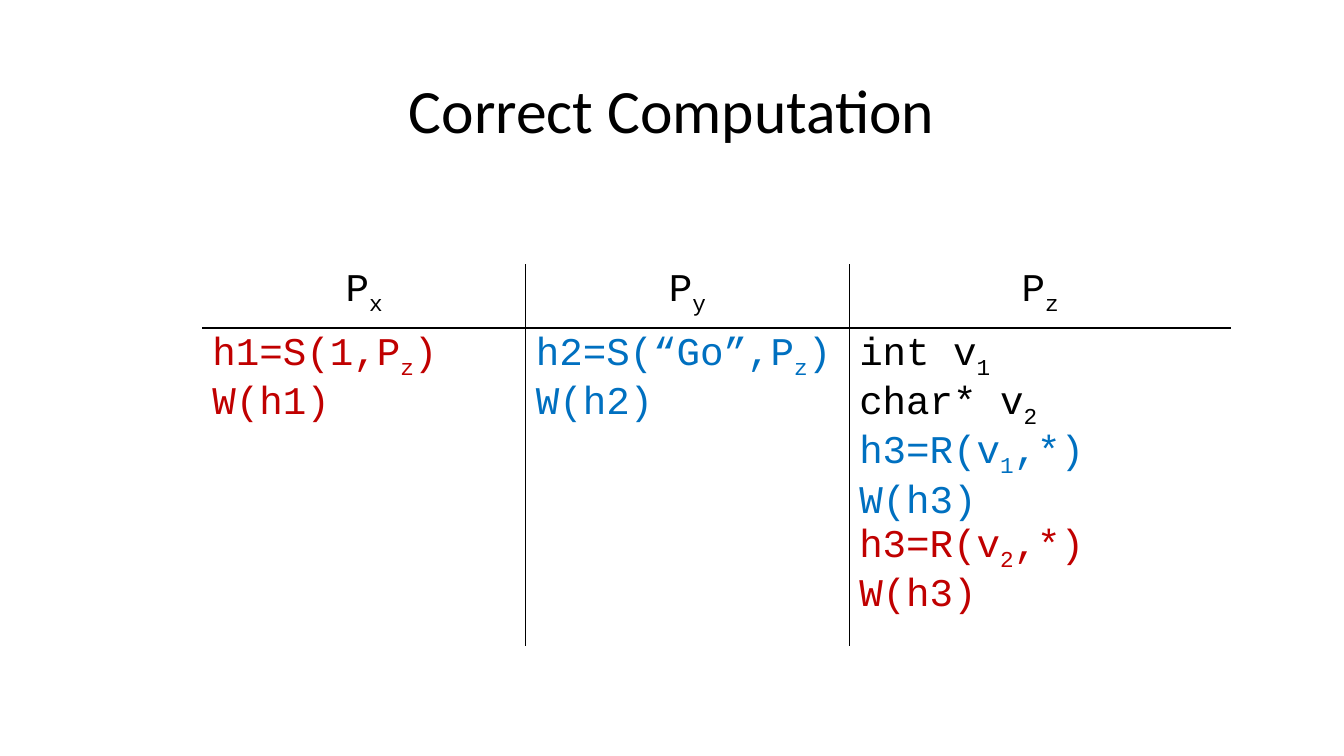
from lxml.etree import SubElement
from pptx import Presentation
from pptx.dml.color import RGBColor
from pptx.enum.text import MSO_ANCHOR as ANCHOR, PP_ALIGN as ALIGN
from pptx.oxml.ns import qn
from pptx.util import Cm, Pt

COLORS = {"black": "000000", "red": "C00000", "blue": "0070C0"}
NO_STYLE = "{2D5ABB26-0587-4C30-8999-92F81FD0307C}"

HEADERS = ["P_x", "P_y", "P_z"]
PROGRAMS = [
    [("h1=S(1,P_z)", "red"), ("W(h1)", "red")],
    [("h2=S(“Go”,P_z)", "blue"), ("W(h2)", "blue")],
    [("int v_1", "black"), ("char* v_2", "black"),
     ("h3=R(v_1,*)", "blue"), ("W(h3)", "blue"),
     ("h3=R(v_2,*)", "red"), ("W(h3)", "red")],
]


def write(p, text, font="Courier New", size=28, color="black", align=ALIGN.LEFT):
    """Fill a paragraph; the character after each underscore is a subscript."""
    p.alignment = align
    first, *rest = text.split("_")
    parts = [(first, False)]
    for part in rest:
        parts += [(part[0], True), (part[1:], False)]
    for part, subscript in parts:
        if not part:
            continue
        r = p.add_run()
        r.text = part
        r.font.name = font
        r.font.size = Pt(size)
        r.font.color.rgb = RGBColor.from_string(COLORS[color])
        if subscript:
            r._r.get_or_add_rPr().set("baseline", "-25000")


def add_borders(cell, sides):
    tc_pr = cell._tc.get_or_add_tcPr()
    for side in sides:
        ln = SubElement(tc_pr, qn(f"a:ln{side}"), w=str(Pt(1)))
        fill = SubElement(ln, qn("a:solidFill"))
        SubElement(fill, qn("a:srgbClr"), val=COLORS["black"])


prs = Presentation()
prs.slide_width, prs.slide_height = Cm(33.87), Cm(19.05)
s = prs.slides.add_slide(prs.slide_layouts[6])

# Title
tf = s.shapes.add_textbox(Cm(2.33), Cm(1.01), Cm(29.21), Cm(3.68)).text_frame
tf.word_wrap = True
tf.vertical_anchor = ANCHOR.MIDDLE
tf.paragraphs[0].line_spacing = 0.9
write(tf.paragraphs[0], "Correct Computation", font="Calibri", size=44, align=ALIGN.CENTER)

# Table of the three processes
frame = s.shapes.add_table(2, 3, Cm(5.1), Cm(6.66), Cm(25.93), Cm(8.94))
table = frame.table
table.first_row = table.horz_banding = False
table._tbl.tblPr.find(qn("a:tableStyleId")).text = NO_STYLE
for column, width in zip(table.columns, [8.15, 8.15, 9.63]):
    column.width = Cm(width)
for row, height in zip(table.rows, [1.49, 7.45]):
    row.height = Cm(height)

last = len(HEADERS) - 1
for col, (header, program) in enumerate(zip(HEADERS, PROGRAMS)):
    sides = ("L" if col > 0 else "") + ("R" if col < last else "")
    head, body = table.cell(0, col), table.cell(1, col)
    for cell, edge in [(head, "B"), (body, "T")]:
        add_borders(cell, sides + edge)
        cell.fill.background()
    write(head.text_frame.paragraphs[0], header, align=ALIGN.CENTER)
    tf = body.text_frame
    for i, (line, color) in enumerate(program):
        p = tf.add_paragraph() if i else tf.paragraphs[0]
        write(p, line, color=color)

prs.save("out.pptx")
